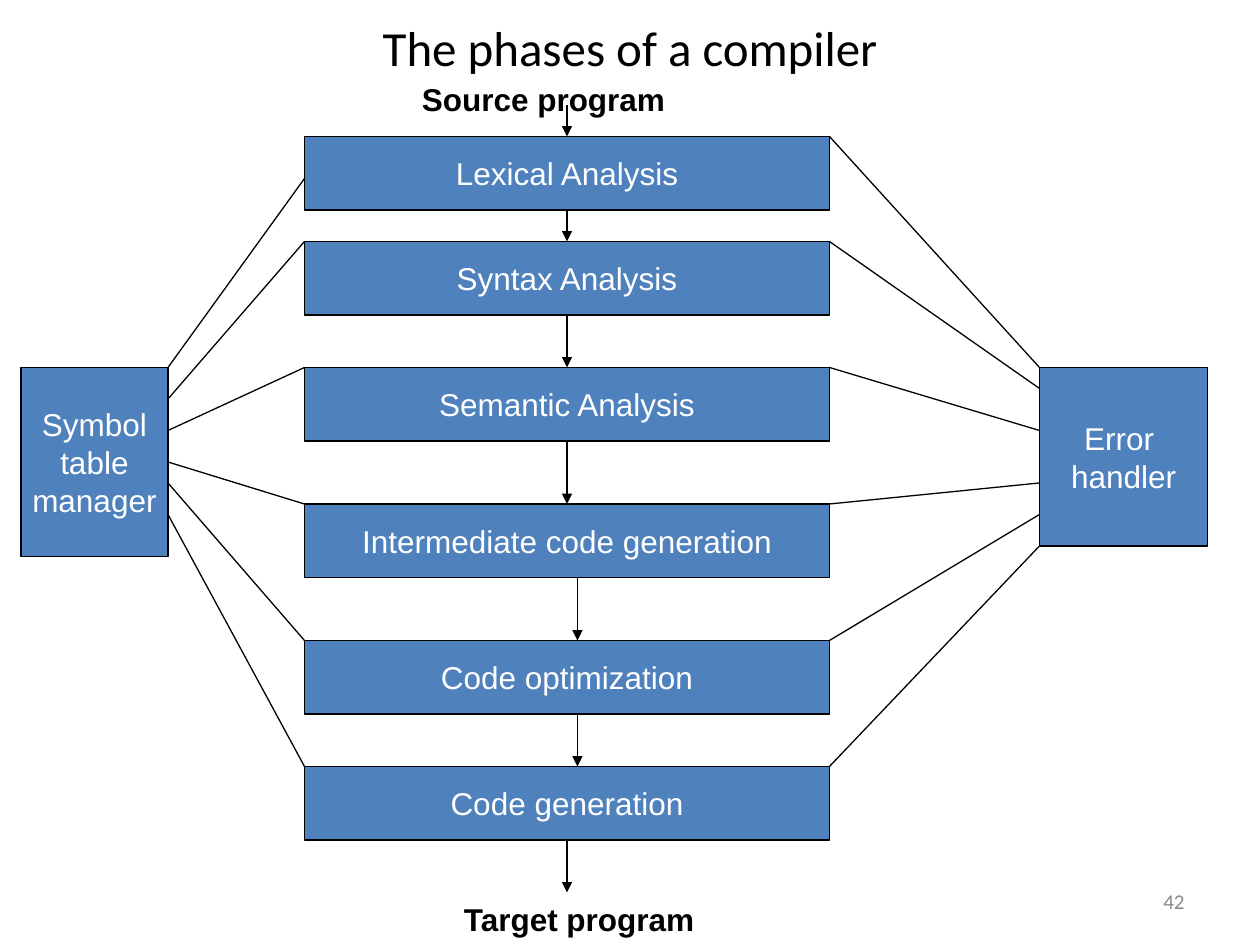
"""Build the slide showing the phases of a compiler."""
from dataclasses import dataclass

from lxml import etree
from pptx import Presentation
from pptx import util as u
from pptx.dml import color
from pptx.enum import shapes, text
from pptx.oxml import ns

BLACK, WHITE, BLUE, GREY = "000000", "FFFFFF", "4F81BD", "8B8B8B"
LEFT, CENTER, RIGHT = text.PP_ALIGN.LEFT, text.PP_ALIGN.CENTER, text.PP_ALIGN.RIGHT
TOP, MIDDLE = text.MSO_ANCHOR.TOP, text.MSO_ANCHOR.MIDDLE


@dataclass(frozen=True)
class Box:
    """Labelled rectangle, measured in points."""
    label: str
    left: float
    top: float
    width: float
    height: float

    @property
    def right(self) -> float:
        return self.left + self.width

    @property
    def bottom(self) -> float:
        return self.top + self.height

    @property
    def frame(self) -> list:
        return [u.Pt(n) for n in (self.left, self.top, self.width, self.height)]


@dataclass(frozen=True)
class Phase:
    """Compiler phase with the heights where its links meet each side box."""
    label: str
    top: float
    link_top: float
    symbol_y: float
    error_y: float
    exit_x: float = 324

    @property
    def box(self) -> Box:
        return Box(self.label, 174, self.top, 300, 42)


PHASES = [
    Phase("Lexical Analysis", 78, 102, 210, 210),
    Phase("Syntax Analysis", 138, 138, 228, 222),
    Phase("Semantic Analysis", 210, 210, 246, 246),
    Phase("Intermediate code generation", 288, 288, 264, 276, 330),
    Phase("Code optimization", 366, 366, 276, 294, 330),
    Phase("Code generation", 438, 438, 294, 312),
]
SYMBOL_TABLE = Box("Symbol\n table \nmanager", 12, 210, 84, 108)
ERROR_HANDLER = Box("Error \nhandler", 594, 210, 96, 102)
TITLE = Box("The phases of a compiler", 36, 0, 648, 54)
SOURCE = Box("Source program", 234, 42, 153, 29)
TARGET = Box("Target program", 258, 511, 148, 29)
PAGE_NUMBER = Box("42", 516, 500.5, 168, 28.75)


def rgb(value: str) -> color.RGBColor:
    """Turn a hex string into a colour."""
    return color.RGBColor.from_string(value)


def write(shape, wording: str, *, size=18, font="Arial", ink=BLACK, bold=False,
          align=LEFT, anchor=TOP, wrap=True) -> None:
    """Put formatted text into a shape."""
    frame = shape.text_frame
    frame.text = wording
    frame.auto_size = text.MSO_AUTO_SIZE.NONE
    frame.word_wrap, frame.vertical_anchor = wrap, anchor
    for paragraph in frame.paragraphs:
        paragraph.alignment = align
        for run in paragraph.runs:
            run.font.size, run.font.name, run.font.bold = u.Pt(size), font, bold
            run.font.color.rgb = rgb(ink)


def add_label(slide, box: Box, **style) -> None:
    """Add a plain text label."""
    write(slide.shapes.add_textbox(*box.frame), box.label, **style)


def add_box(slide, box: Box) -> None:
    """Add a blue box with centred white text."""
    shape = slide.shapes.add_shape(shapes.MSO_SHAPE.RECTANGLE, *box.frame)
    shape.shadow.inherit = False
    shape.fill.solid()
    shape.fill.fore_color.rgb = rgb(BLUE)
    shape.line.color.rgb = rgb(BLACK)
    shape.line.width = u.Pt(0.75)
    write(shape, box.label, ink=WHITE, align=CENTER, anchor=MIDDLE, wrap=False)


def add_line(slide, x1: float, y1: float, x2: float, y2: float, arrow: bool = False) -> None:
    """Add a thin black line, optionally with an arrowhead at its end."""
    ends = [u.Pt(n) for n in (x1, y1, x2, y2)]
    line = slide.shapes.add_connector(shapes.MSO_CONNECTOR.STRAIGHT, *ends)
    line.line.color.rgb = rgb(BLACK)
    line.line.width = u.Pt(0.75)
    if arrow:
        etree.SubElement(line.line._get_or_add_ln(), ns.qn("a:tailEnd"), type="triangle")
    etree.SubElement(line._element.spPr, ns.qn("a:effectLst"))


def main() -> None:
    """Draw the slide and save it."""
    deck = Presentation()
    deck.slide_width, deck.slide_height = u.Pt(720), u.Pt(540)
    slide = deck.slides.add_slide(deck.slide_layouts[5])

    title = slide.shapes.title
    title.left, title.top, title.width, title.height = TITLE.frame
    write(title, TITLE.label, size=28, font="Calibri", align=CENTER, anchor=MIDDLE)
    add_label(slide, PAGE_NUMBER, size=12, font="Calibri", ink=GREY, align=RIGHT, anchor=MIDDLE)
    add_label(slide, SOURCE, bold=True, wrap=False)

    for box in [phase.box for phase in PHASES] + [SYMBOL_TABLE, ERROR_HANDLER]:
        add_box(slide, box)

    for phase in PHASES:
        add_line(slide, phase.box.left, phase.link_top, SYMBOL_TABLE.right, phase.symbol_y)
        add_line(slide, phase.box.right, phase.top, ERROR_HANDLER.left, phase.error_y)

    add_line(slide, 324, 60, 324, PHASES[0].top, arrow=True)
    next_tops = [phase.top for phase in PHASES[1:]] + [510]
    for phase, next_top in zip(PHASES, next_tops):
        add_line(slide, phase.exit_x, phase.box.bottom, phase.exit_x, next_top, arrow=True)

    add_label(slide, TARGET, bold=True)
    deck.save("out.pptx")


if __name__ == "__main__":
    main()
